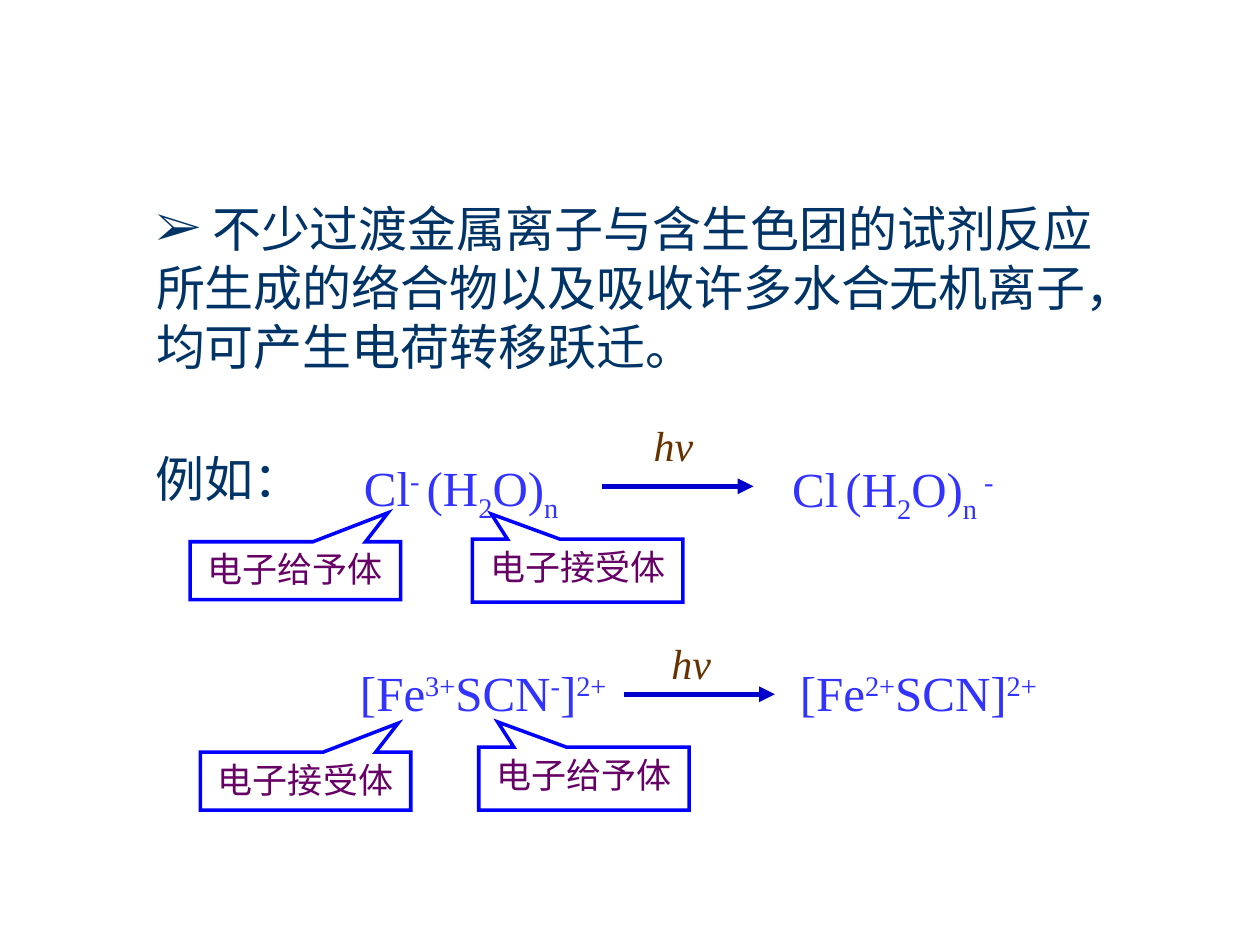
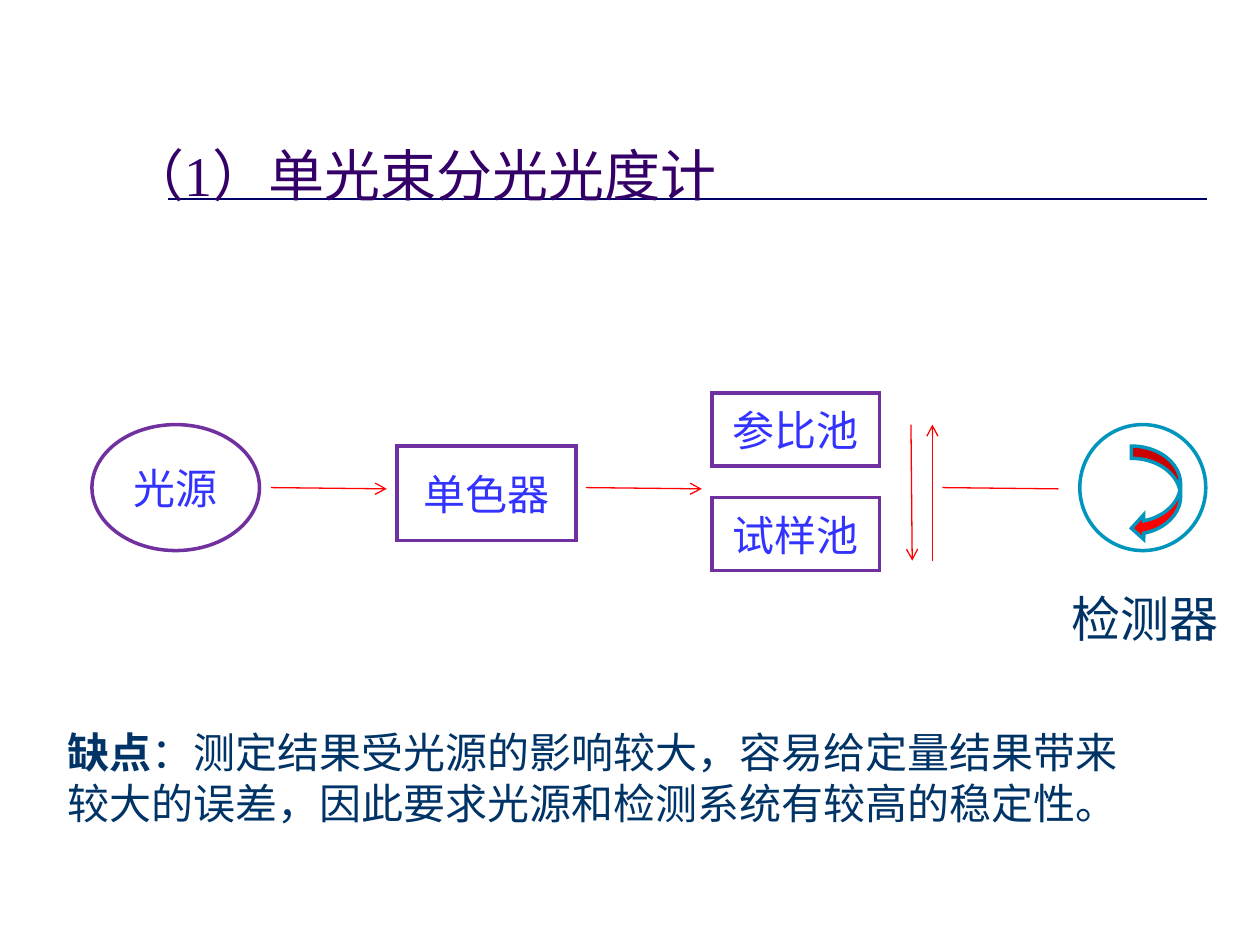
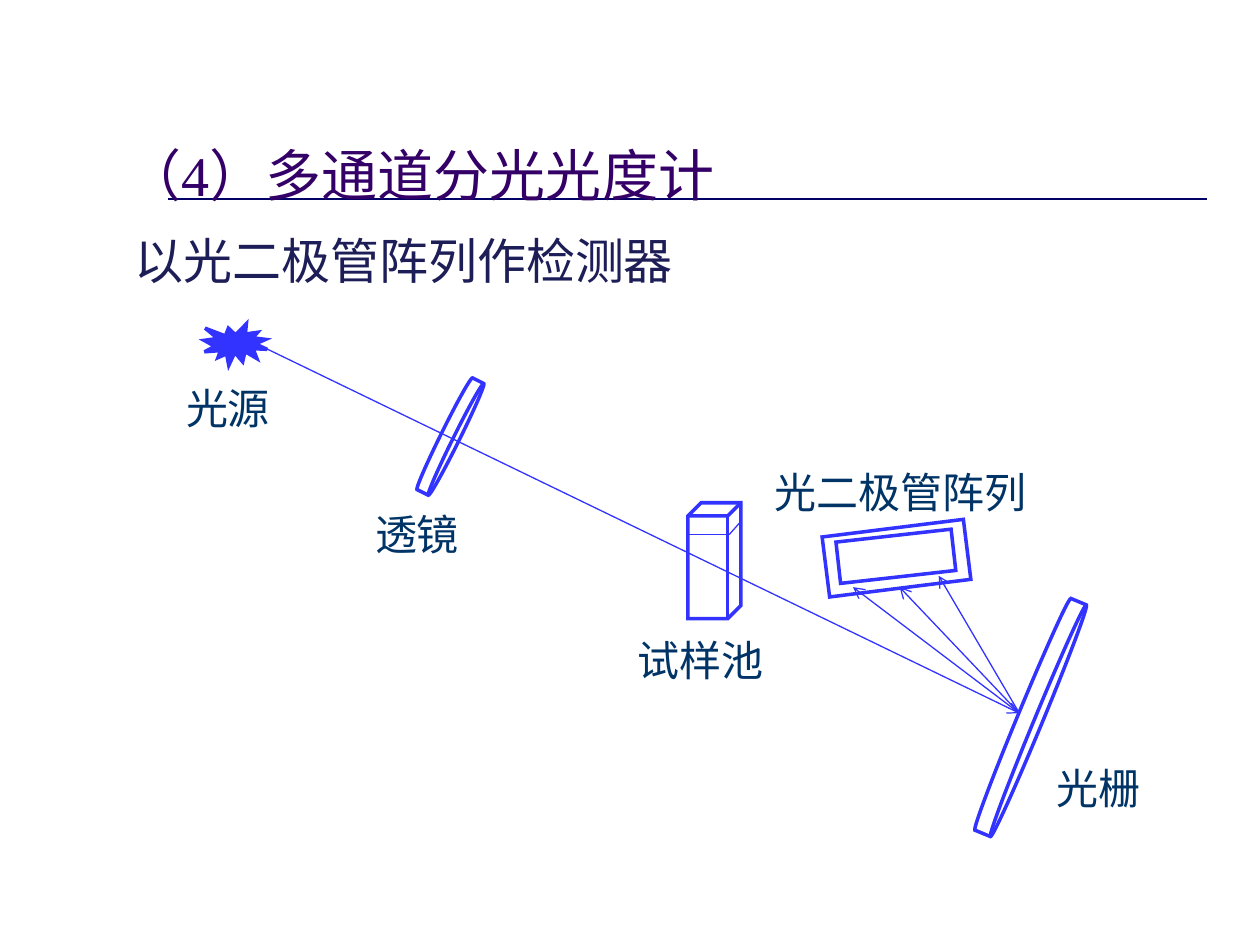
from lxml import etree
from pptx import Presentation
from pptx.dml.color import RGBColor
from pptx.enum.shapes import MSO_CONNECTOR, MSO_SHAPE as SHAPE
from pptx.enum.text import MSO_ANCHOR as ANCHOR, PP_ALIGN as ALIGN
from pptx.oxml.ns import qn
from pptx.util import Inches, Pt

WHITE = RGBColor(0xFF, 0xFF, 0xFF)
NAVY = RGBColor(0x00, 0x33, 0x66)
RULE = RGBColor(0x00, 0x00, 0x66)
TITLE = RGBColor(0x34, 0x00, 0x68)
SUBTITLE = RGBColor(0x1D, 0x1D, 0x57)
BLUE = RGBColor(0x33, 0x33, 0xFF)
ARROW = RGBColor(0x00, 0x00, 0xCC)
CALLOUT = RGBColor(0x00, 0x00, 0xFF)
PLUM = RGBColor(0x66, 0x00, 0x66)
BROWN = RGBColor(0x66, 0x33, 0x00)
PURPLE = RGBColor(0x70, 0x30, 0xA0)
TEAL = RGBColor(0x00, 0x95, 0xBC)
RED = RGBColor(0xFF, 0x00, 0x00)
SERIF, SANS = "Times New Roman", "Arial"
SUP, SUB = 30000, -25000


def add_box(s, kind, at, paragraphs=(), size=24, color=NAVY, font=SERIF, align=ALIGN.CENTER,
            anchor=ANCHOR.TOP, wrap=True, fill=None, line=None):
    """Add a preset shape, or a text box if kind is None; runs are strings or (text, baseline)."""
    at = [Inches(v) for v in at]
    if kind is None:
        sp = s.shapes.add_textbox(*at)
    else:
        sp = s.shapes.add_shape(kind, *at)
        sp.shadow.inherit = False
    if fill is None:
        sp.fill.background()
    else:
        sp.fill.solid()
        sp.fill.fore_color.rgb = fill
    if line is None:
        sp.line.fill.background()
    else:
        sp.line.color.rgb = line
        sp.line.width = Pt(2)
        etree.SubElement(sp.line._get_or_add_ln(), qn("a:miter"), lim="800000")
    tf = sp.text_frame
    tf.word_wrap = wrap
    tf.vertical_anchor = anchor
    if not wrap:  # one-line labels use the full width of their box
        tf.margin_left = tf.margin_right = 0
    for i, runs in enumerate(paragraphs):
        p = tf.add_paragraph() if i else tf.paragraphs[0]
        p.alignment = align
        for run in runs:
            text, baseline = run if isinstance(run, tuple) else (run, 0)
            r = p.add_run()
            r.text = text
            r.font.size = Pt(size)
            r.font.name = font
            r.font.color.rgb = color
            if baseline:
                r._r.get_or_add_rPr().set("baseline", str(baseline))
    return sp


def add_line(s, start, end, color, width=0.75, head=None):
    x1, y1, x2, y2 = [Inches(v) for v in (*start, *end)]
    line = s.shapes.add_connector(MSO_CONNECTOR.STRAIGHT, x1, y1, x2, y2)
    line.line.color.rgb = color
    line.line.width = Pt(width)
    if head:
        etree.SubElement(line.line._get_or_add_ln(), qn("a:tailEnd"), type=head)
    etree.SubElement(line._element.spPr, qn("a:effectLst"))


prs = Presentation()
prs.slide_width, prs.slide_height = Inches(10), Inches(7.5)
charge, single, multi = [prs.slides.add_slide(prs.slide_layouts[6]) for _ in range(3)]

for s, left, title in ((single, 0.92, "（1）单光束分光光度计"), (multi, 0.9, "（4）多通道分光光度计")):
    add_line(s, (1.33, 1.58), (9.58, 1.58), RULE, 1.5)
    add_box(s, None, (left, 1.08, 8.25, 0.6), [[title]], 32, TITLE, align=ALIGN.LEFT,
            anchor=ANCHOR.MIDDLE)

# Slide 1: charge transfer transitions
s = charge
intro = add_box(s, SHAPE.RECTANGLE, (1.14, 1.53, 8.59, 1.5),
                [[" 不少过渡金属离子与含生色团的试剂反应"],
                 ["所生成的络合物以及吸收许多水合无机离子，"],
                 ["均可产生电荷转移跃迁。"]], 28, align=ALIGN.LEFT, fill=WHITE)
pPr = intro.text_frame.paragraphs[0]._p.get_or_add_pPr()
etree.SubElement(pPr, qn("a:buFont"), typeface=SERIF)
etree.SubElement(pPr, qn("a:buChar"), char="➢")
add_box(s, None, (1.14, 3.51, 1.36, 0.57), [["例如："]], 28, wrap=False)

formulas = (
    ((2.79, 3.58, 1.74, 0.63), ["Cl", ("- ", SUP), "(H", ("2", SUB), "O)", ("n", SUB)]),
    ((5.7, 3.59, 2.83, 0.63), ["Cl", (" ", SUP), "(H", ("2", SUB), "O)", ("n ", SUB), ("- ", SUP)]),
    ((2.76, 5.21, 2.15, 0.57), ["[Fe", ("3+", SUP), "SCN", ("-", SUP), "]", ("2+", SUP)]),
    ((6.15, 5.21, 2.18, 0.57), [" [Fe", ("2+", SUP), "SCN]", ("2+", SUP)]),
)
for at, runs in formulas:
    add_box(s, None, at, [runs], 28, BLUE, wrap=False)

for x, y, hv_x, hv_y in ((4.78, 3.86, 5.09, 3.28), (4.95, 5.51, 5.23, 5.01)):
    add_line(s, (x, y), (x + 1.2, y), ARROW, 3, "triangle")
    hv = add_box(s, None, (hv_x, hv_y, 0.51, 0.5), [["hv"]], 24, BROWN, wrap=False)
    hv.text_frame.paragraphs[0].runs[0].font.italic = True

LEFT_TIP, RIGHT_TIP = (-0.41, -0.9), (0.44, -1)
for x, y, h, tip, label in ((3.75, 4.28, 0.5, LEFT_TIP, "电子接受体"),
                            (1.51, 4.3, 0.46, RIGHT_TIP, "电子给予体"),
                            (1.59, 5.97, 0.46, RIGHT_TIP, "电子接受体"),
                            (3.8, 5.93, 0.5, LEFT_TIP, "电子给予体")):
    callout = add_box(s, SHAPE.RECTANGULAR_CALLOUT, (x, y, 1.67, h), [[label]], 20, PLUM,
                      line=CALLOUT)
    callout.adjustments[0], callout.adjustments[1] = tip

# Slide 2: single-beam spectrophotometer
s = single
for kind, at, label in ((SHAPE.OVAL, (0.73, 3.37, 1.33, 1), "光源"),
                        (SHAPE.RECTANGLE, (3.15, 3.54, 1.42, 0.75), "单色器"),
                        (SHAPE.RECTANGLE, (5.65, 3.12, 1.33, 0.58), "参比池"),
                        (SHAPE.RECTANGLE, (5.65, 3.95, 1.33, 0.58), "试样池")):
    add_box(s, kind, at, [[label]], 24, BLUE, SANS, anchor=ANCHOR.MIDDLE, line=PURPLE)
for x, head in ((2.15, "arrow"), (4.65, "arrow"), (7.48, None)):
    add_line(s, (x, 3.87), (x + 0.92, 3.88), RED, head=head)
add_line(s, (7.23, 3.37), (7.24, 4.45), RED, head="arrow")
add_line(s, (7.4, 4.45), (7.4, 3.37), RED, head="arrow")
add_box(s, SHAPE.OVAL, (8.57, 3.37, 1, 1), line=TEAL)
add_box(s, SHAPE.CURVED_LEFT_ARROW, (8.98, 3.54, 0.39, 0.75), fill=RED, line=TEAL)
add_box(s, None, (8.41, 4.62, 1.36, 0.57), [["检测器"]], 28, wrap=False)
drawback = add_box(s, None, (0.44, 5.72, 8.74, 0.9),
                   [["缺点", "：测定结果受光源的影响较大，容易给定量结果带来较大的误差，"
                     "因此要求光源和检测系统有较高的稳定性。"]], align=ALIGN.LEFT)
drawback.text_frame.paragraphs[0].runs[0].font.bold = True

# Slide 3: multichannel spectrophotometer
s = multi
add_box(s, None, (0.97, 1.78, 4.47, 0.57), [["以光二极管阵列作检测器"]], 28, SUBTITLE, SANS, wrap=False)
add_box(s, SHAPE.EXPLOSION1, (1.62, 2.57, 0.5, 0.33), fill=BLUE, line=BLUE)
for kind, at, angle in ((SHAPE.FLOWCHART_DIRECT_ACCESS_STORAGE, (3.5, 2.97, 0.15, 0.99), 26.4),
                        (SHAPE.CUBE, (5.46, 3.99, 0.42, 0.92), 0),
                        (SHAPE.FLOWCHART_DIRECT_ACCESS_STORAGE, (8.08, 4.7, 0.2, 1.99), 22.5),
                        (SHAPE.RECTANGLE, (6.55, 4.19, 1.13, 0.48), 352.9),
                        (SHAPE.RECTANGLE, (6.65, 4.25, 0.92, 0.33), 353.6)):
    add_box(s, kind, at, line=BLUE).rotation = angle

grating = (8.09, 5.66)
add_line(s, (2.12, 2.77), grating, BLUE, head="arrow")
for diode in ((7.14, 4.66), (7.45, 4.57), (6.77, 4.66)):
    add_line(s, grating, diode, BLUE, head="arrow")
liquid_edge = (5.79, 4.24)
add_line(s, (5.46, 4.24), liquid_edge, BLUE)
add_line(s, liquid_edge, (5.87, 4.15), BLUE)

for x, y, w, label in ((1.38, 2.99, 0.86, "光源"), (2.88, 3.99, 0.86, "透镜"),
                       (4.96, 4.99, 1.2, "试样池"), (8.29, 6, 0.86, "光栅"),
                       (6.05, 3.65, 2.2, "光二极管阵列")):
    add_box(s, None, (x, y, w, 0.5), [[label]], wrap=False)

prs.save("out.pptx")
